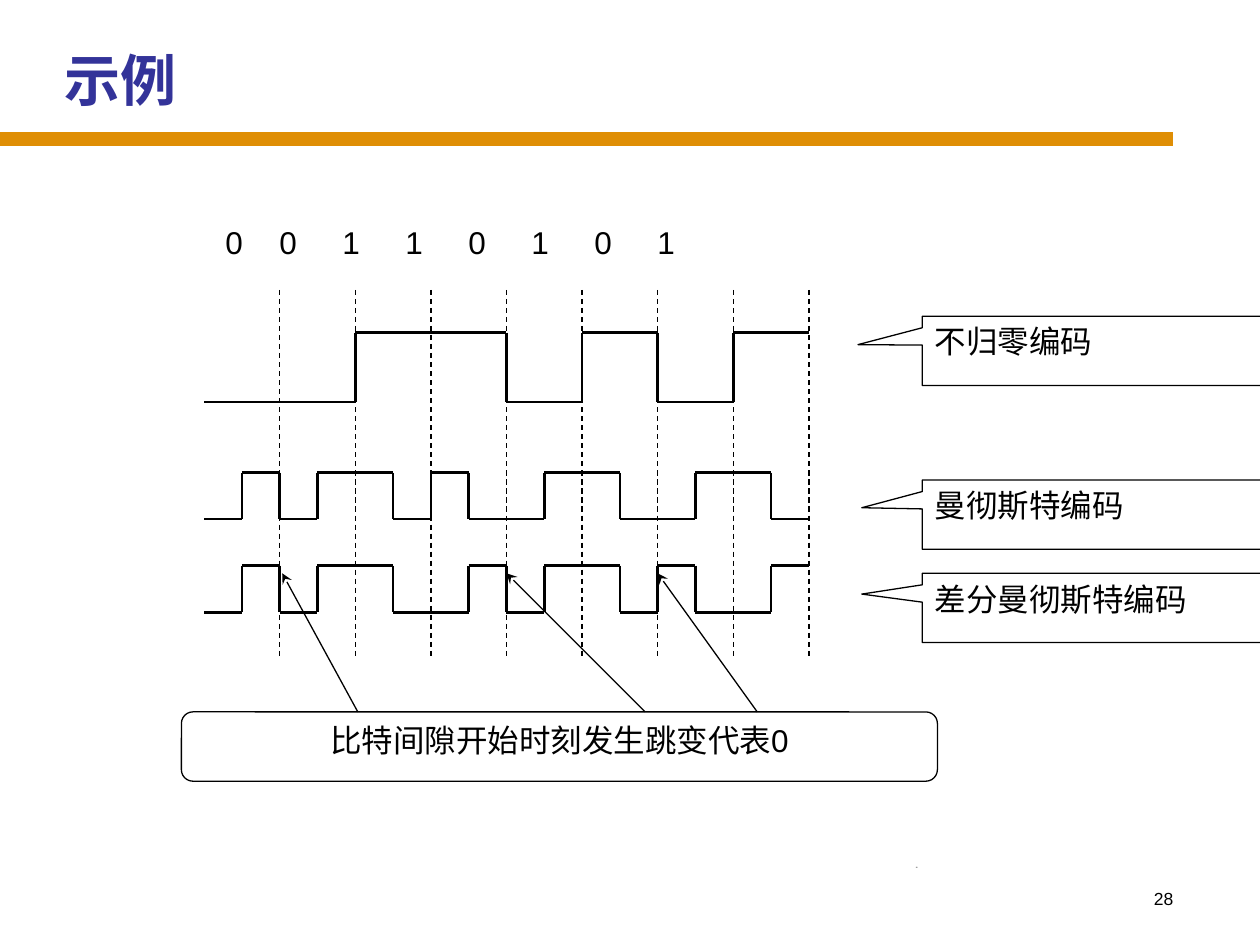
from itertools import groupby

from lxml.etree import SubElement
from pptx import Presentation
from pptx.dml.color import RGBColor
from pptx.enum.dml import MSO_LINE
from pptx.enum.shapes import MSO_CONNECTOR, MSO_SHAPE
from pptx.enum.text import MSO_ANCHOR, PP_ALIGN
from pptx.oxml.ns import qn
from pptx.util import Inches, Pt

COLORS = {"black": "000000", "white": "FFFFFF", "title": "333399", "rule": "DF8E05"}
BITS = "00110101"
LEFT, BIT_WIDTH = 1.62, 0.6
BIT_TABS = (0.69, 1.31, 1.93, 2.49, 3.11, 3.74, 4.23)


def color(name):
    return RGBColor.from_string(COLORS[name])


def add_line(page, start, end, width=0.75, tint="black", dashed=False, arrow=False):
    points = [Inches(value) for value in (*start, *end)]
    line = page.shapes.add_connector(MSO_CONNECTOR.STRAIGHT, *points)
    line.line.width = Pt(width)
    line.line.color.rgb = color(tint)
    if dashed:
        line.line.dash_style = MSO_LINE.DASH
    properties = line._element.spPr
    if arrow:
        SubElement(line.line._get_or_add_ln(), qn("a:tailEnd"), type="stealth")
    SubElement(properties, qn("a:effectLst"))


def write(frame, text, size=18, align=PP_ALIGN.LEFT, font="Arial", tint="black", bold=False):
    para = frame.paragraphs[0]
    para.alignment = align
    span = para.add_run()
    span.text = text
    span.font.size = Pt(size)
    span.font.name = font
    span.font.bold = bold
    span.font.color.rgb = color(tint)
    return para


def add_box(page, kind, place, text, border="black", align=PP_ALIGN.LEFT):
    box = page.shapes.add_shape(kind, *(Inches(value) for value in place))
    box.shadow.inherit = False
    box.fill.solid()
    box.fill.fore_color.rgb = color("white")
    box.line.color.rgb = color(border)
    box.line.width = Pt(0.75)
    box.text_frame.word_wrap = True
    box.text_frame.vertical_anchor = MSO_ANCHOR.TOP
    write(box.text_frame, text, align=align)
    return box


def add_callout(page, top, text, tip):
    box = add_box(page, MSO_SHAPE.RECTANGULAR_CALLOUT, (7.32, top, 3, 0.55), text)
    box.adjustments[0], box.adjustments[1] = tip


def add_label(page, place, text, size, align=PP_ALIGN.LEFT):
    box = page.shapes.add_textbox(*(Inches(value) for value in place))
    box.text_frame.word_wrap = True
    write(box.text_frame, text, size, align)


def add_title(page, text):
    title = page.shapes.title
    title.left, title.top, title.width, title.height = (
        Inches(value) for value in (0.32, 0, 9, 1.25))
    title.text_frame.vertical_anchor = MSO_ANCHOR.MIDDLE
    para = write(title.text_frame, text, 32, font="Times New Roman", tint="title", bold=True)
    para._p.get_or_add_pPr().set("marL", str(Inches(0.09)))


def add_bits(page):
    box = add_box(page, MSO_SHAPE.RECTANGLE, (1.62, 1.72, 5.4, 0.55), "\t".join(BITS), "white")
    properties = box.text_frame.paragraphs[0]._p.get_or_add_pPr()
    properties.set("indent", str(Inches(0.07)))
    stops = SubElement(properties, qn("a:tabLst"))
    for position in BIT_TABS:
        SubElement(stops, qn("a:tab"), pos=str(Inches(position)), algn="l")


def differential_manchester(bits):
    levels, level = "", "1"
    for bit in bits:
        if bit == "0":
            level = "10"[int(level)]
        levels += level
        level = "10"[int(level)]
        levels += level
    return levels


def add_wave(page, levels, high, low):
    x, previous = LEFT, None
    for level, group in groupby(levels):
        y = high if level == "1" else low
        if previous is not None:
            add_line(page, (x, previous), (x, y), 1.5)
        end = x + len(list(group)) * BIT_WIDTH / 2
        add_line(page, (x, y), (end, y), 1.5)
        x, previous = end, y


def main():
    deck = Presentation()
    deck.slide_width, deck.slide_height = Inches(10), Inches(7.5)
    page = deck.slides.add_slide(deck.slide_layouts[5])

    add_line(page, (0, 1.1), (9.31, 1.1), 8, "rule")
    add_label(page, (7.33, 7, 2.08, 0.5), "28", 10, PP_ALIGN.RIGHT)
    add_label(page, (7.17, 6.83, 2.33, 0.52), "28", 1)

    for index in range(1, len(BITS) + 1):
        x = LEFT + index * BIT_WIDTH
        add_line(page, (x, 2.3), (x, 5.22), dashed=True)

    add_wave(page, "".join(bit * 2 for bit in BITS), 2.64, 3.19)
    add_wave(page, "".join({"0": "01", "1": "10"}[bit] for bit in BITS), 3.75, 4.12)
    add_wave(page, differential_manchester(BITS), 4.49, 4.86)
    add_bits(page)

    for top, text, tip in (
        (2.51, "不归零编码", (-0.67, -0.09)),
        (3.81, "曼彻斯特编码", (-0.66, -0.1)),
        (4.55, "差分曼彻斯特编码", (-0.66, -0.2)),
    ):
        add_callout(page, top, text, tip)

    add_box(page, MSO_SHAPE.FLOWCHART_ALTERNATE_PROCESS, (1.44, 5.65, 6, 0.55),
            "比特间隙开始时刻发生跳变代表0", align=PP_ALIGN.CENTER)
    for start, end in ((6.01, 5.22), (5.12, 4.02), (2.84, 2.24)):
        add_line(page, (start, 5.65), (end, 4.55), arrow=True)
    add_title(page, "示例")

    deck.save("out.pptx")


if __name__ == "__main__":
    main()
